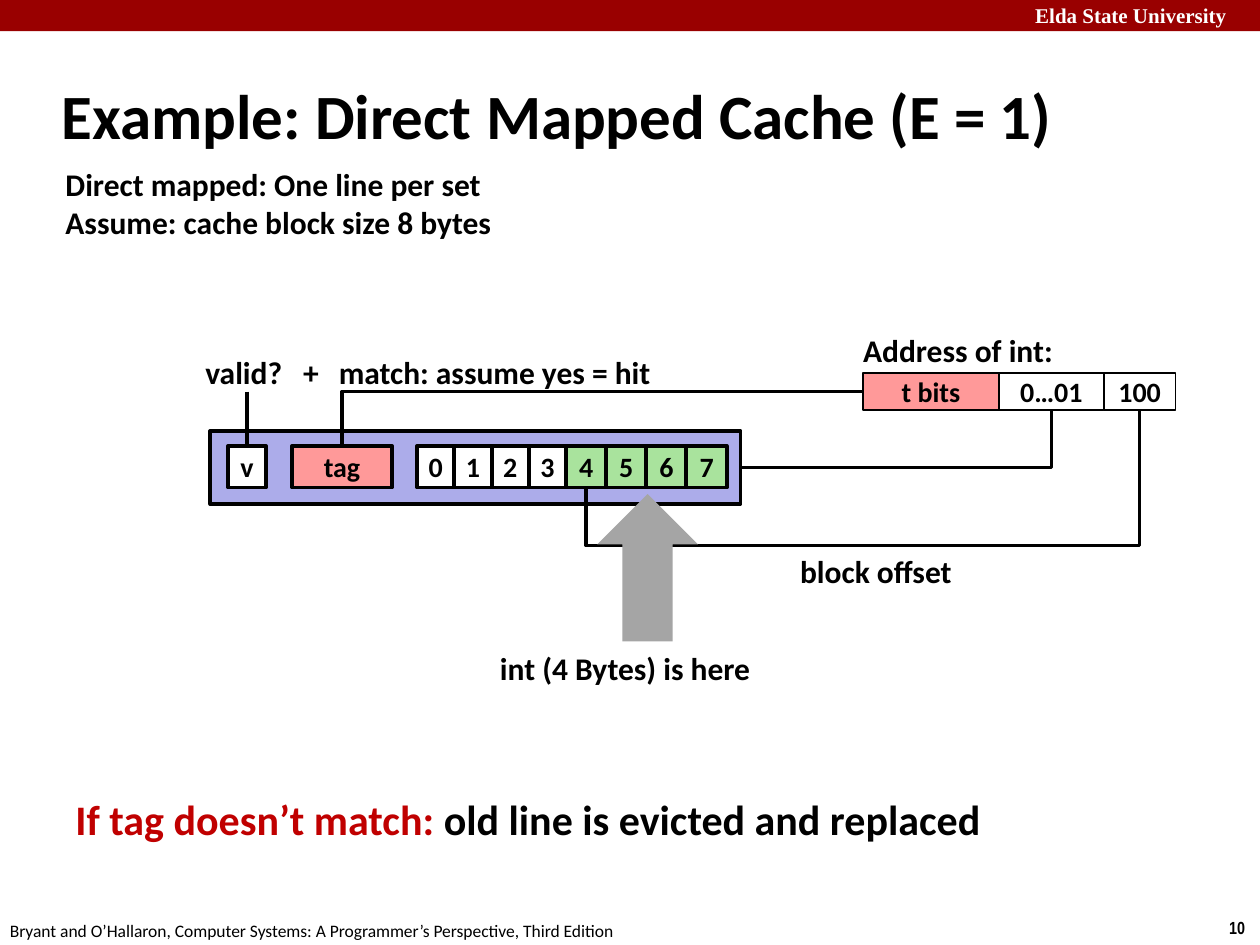
import pptx
import pptx.dml.color
import pptx.enum.shapes
import pptx.enum.text
import pptx.oxml
import pptx.oxml.ns
import pptx.util

Cm = pptx.util.Cm
Pt = pptx.util.Pt
SHAPE = pptx.enum.shapes.MSO_SHAPE
CONNECTOR = pptx.enum.shapes.MSO_CONNECTOR
ANCHOR = pptx.enum.text.MSO_ANCHOR
ALIGN = pptx.enum.text.PP_ALIGN

BLACK, WHITE, MAROON, RED = "000000", "FFFFFF", "990000", "C00000"
PINK, LAVENDER, GREEN, GREY = "FF9999", "ACACEA", "A9E39D", "A5A5A5"


def rgb(hex_colour):
    return pptx.dml.color.RGBColor.from_string(hex_colour)


def add_run(paragraph, text, size, colour=BLACK, bold=True, font="Calibri"):
    run = paragraph.add_run()
    run.text = text
    run.font.name = font
    run.font.size = Pt(size)
    run.font.bold = bold
    run.font.color.rgb = rgb(colour)


def add_block(slide, kind, left, top, width, height, fill, line_width=0):
    """Add a filled preset shape; a line width of 0 means no outline."""
    block = slide.shapes.add_shape(kind, left, top, width, height)
    block.shadow.inherit = False
    block.fill.solid()
    block.fill.fore_color.rgb = rgb(fill)
    if line_width:
        block.line.color.rgb = rgb(BLACK)
        block.line.width = Pt(line_width)
    else:
        block.line.fill.background()
    return block


def add_cell(slide, text, left, top, width, height, fill, line_width):
    cell = add_block(slide, SHAPE.RECTANGLE, left, top, width, height, fill, line_width)
    frame = cell.text_frame
    frame.margin_left = frame.margin_right = 0
    frame.vertical_anchor = ANCHOR.MIDDLE
    frame.paragraphs[0].alignment = ALIGN.CENTER
    add_run(frame.paragraphs[0], text, 16)
    return cell


def add_label(slide, text, left, top, width, height=Cm(1.02), size=18, **style):
    """Add a text box with one paragraph for each line of the text."""
    frame = slide.shapes.add_textbox(left, top, width, height).text_frame
    frame.word_wrap = True
    for number, line in enumerate(text.split("\n")):
        paragraph = frame.add_paragraph() if number else frame.paragraphs[0]
        add_run(paragraph, line, size, **style)
    return frame


def add_wire(slide, kind, start, end):
    wire = slide.shapes.add_connector(kind, *start, *end)
    wire.line.color.rgb = rgb(BLACK)
    wire.line.width = Pt(2)
    wire._element.spPr.append(pptx.oxml.parse_xml(
        f"<a:effectLst {pptx.oxml.ns.nsdecls('a')}/>"))
    return wire


def add_corner_wire(slide, start, end):
    """Run across from start, then up or down to end."""
    wire = add_wire(slide, CONNECTOR.ELBOW, start, end)
    wire._element.spPr.prstGeom.set("prst", "bentConnector2")


def add_loop_wire(slide, start, end, bend):
    """Run down from start, across at bend times the drop, then up to end."""
    drop, span = end[1] - start[1], start[0] - end[0]
    x, y = (start[0] + end[0]) // 2, (start[1] + end[1]) // 2
    wire = add_wire(slide, CONNECTOR.ELBOW,
                    (x - drop // 2, y - span // 2), (x + drop // 2, y + span // 2))
    properties = wire._element.spPr
    properties.xfrm.set("rot", str(90 * 60000))
    guides = properties.prstGeom.get_or_add_avLst()
    guides.append(pptx.oxml.parse_xml(
        f"<a:gd {pptx.oxml.ns.nsdecls('a')} name='adj1' fmla='val {round(bend * 100000)}'/>"))


def centre(block):
    return block.left + block.width // 2


def bottom(block):
    return block.top + block.height


def middle(block):
    return block.top + block.height // 2


def add_page_frame(slide, width, height):
    add_block(slide, SHAPE.RECTANGLE, 0, 0, width, Cm(0.63), MAROON)
    add_label(slide, "Elda State University", width - Cm(4.78), Cm(-0.08), Cm(4.95),
              size=12, colour=WHITE, font="Times New Roman")
    add_label(slide, "10", width - Cm(0.87), height - Cm(0.69), Cm(0.87), Cm(0.69),
              size=10, font="Arial Narrow")
    add_label(slide, "Bryant and O’Hallaron, Computer Systems: "
              "A Programmer’s Perspective, Third Edition",
              Cm(-0.05), height - Cm(0.63), Cm(13), Cm(0.69), size=10, bold=False)


def add_heading(slide, left, top):
    title = slide.shapes.title
    title.left, title.top, title.width, title.height = left, top, Cm(21.08), Cm(2.11)
    frame = title.text_frame
    frame.vertical_anchor = ANCHOR.MIDDLE
    frame.paragraphs[0].alignment = ALIGN.LEFT
    add_run(frame.paragraphs[0], "Example: Direct Mapped Cache (E = 1)", 36)
    add_label(slide, "Direct mapped: One line per set\nAssume: cache block size 8 bytes",
              left + Cm(0.08), top + Cm(1.96), Cm(9.2), Cm(1.8))


def add_address(slide, left, top):
    """Return the tag, set index and block offset fields."""
    fields = []
    field_left = left
    for text, width, fill in (("t bits", Cm(2.74), PINK), ("0…01", Cm(2.11), WHITE),
                              ("100", Cm(1.45), WHITE)):
        fields.append(add_cell(slide, text, field_left, top, width, Cm(0.75), fill, 1))
        field_left += width
    add_label(slide, "Address of int:", left - Cm(0.25), top - Cm(0.97), Cm(4.4))
    return fields


def add_cache_line(slide, left, top):
    """Return the line and its valid bit, tag and bytes."""
    line = add_block(slide, SHAPE.RECTANGLE, left, top, Cm(10.69), Cm(1.47), LAVENDER, 2.25)

    def part(text, offset, width, fill):
        return add_cell(slide, text, left + Cm(offset), top + Cm(0.3),
                        Cm(width), Cm(0.84), fill, 2.25)

    valid = part("v", 0.36, 0.76, WHITE)
    tag = part("tag", 1.65, 2.01, PINK)
    block_bytes = [part(str(n), 4.17 + 0.75 * n, 0.75, WHITE) for n in range(4)]
    block_bytes += [part(str(n), 7.17 + 0.81 * (n - 4), 0.81, GREEN) for n in range(4, 8)]
    return line, valid, tag, block_bytes


def add_lookup(slide, left, top):
    """Place the cache line, the address and the wires that join them."""
    tag_bits, set_index, block_offset = add_address(slide, left + Cm(13.16), top - Cm(1.17))
    line, valid, tag, block_bytes = add_cache_line(slide, left, top)
    add_corner_wire(slide, (line.left + line.width, middle(line)),
                    (centre(set_index), bottom(set_index)))
    add_corner_wire(slide, (tag_bits.left, middle(tag_bits)), (centre(tag), tag.top))
    add_wire(slide, CONNECTOR.STRAIGHT, (centre(valid), middle(tag_bits)),
             (centre(valid), valid.top))
    for text, offset, width in (("valid?", -0.35, 2.2), ("+", 1.62, 0.9),
                                ("match: assume yes = hit", 2.34, 6.9)):
        add_label(slide, text, left + Cm(offset), top - Cm(1.7), Cm(width))
    add_loop_wire(slide, (centre(block_offset), bottom(block_offset)),
                  (centre(block_bytes[4]), bottom(block_bytes[4])), 1.75)
    add_block(slide, SHAPE.UP_ARROW, left + Cm(7.8), top + Cm(1.27),
              Cm(2.03), Cm(2.97), GREY)
    add_label(slide, "int (4 Bytes) is here", left + Cm(5.59), top + Cm(4.27), Cm(5.65))
    add_label(slide, "block offset", left + Cm(11.64), top + Cm(2.31), Cm(3.65))


def add_conclusion(slide, left, top):
    frame = add_label(slide, "If tag doesn’t match: ", left, top, Cm(19), Cm(1.27),
                      size=24, colour=RED)
    add_run(frame.paragraphs[0], "old line is evicted and replaced", 24)


def main():
    deck = pptx.Presentation()
    deck.slide_width, deck.slide_height = Cm(25.4), Cm(19.05)
    slide = deck.slides.add_slide(deck.slide_layouts.get_by_name("Title Only"))
    add_page_frame(slide, deck.slide_width, deck.slide_height)
    add_heading(slide, Cm(0.99), Cm(1.24))
    add_lookup(slide, Cm(4.24), Cm(8.69))
    add_conclusion(slide, Cm(1.27), Cm(15.88))
    deck.save("out.pptx")


if __name__ == "__main__":
    main()
